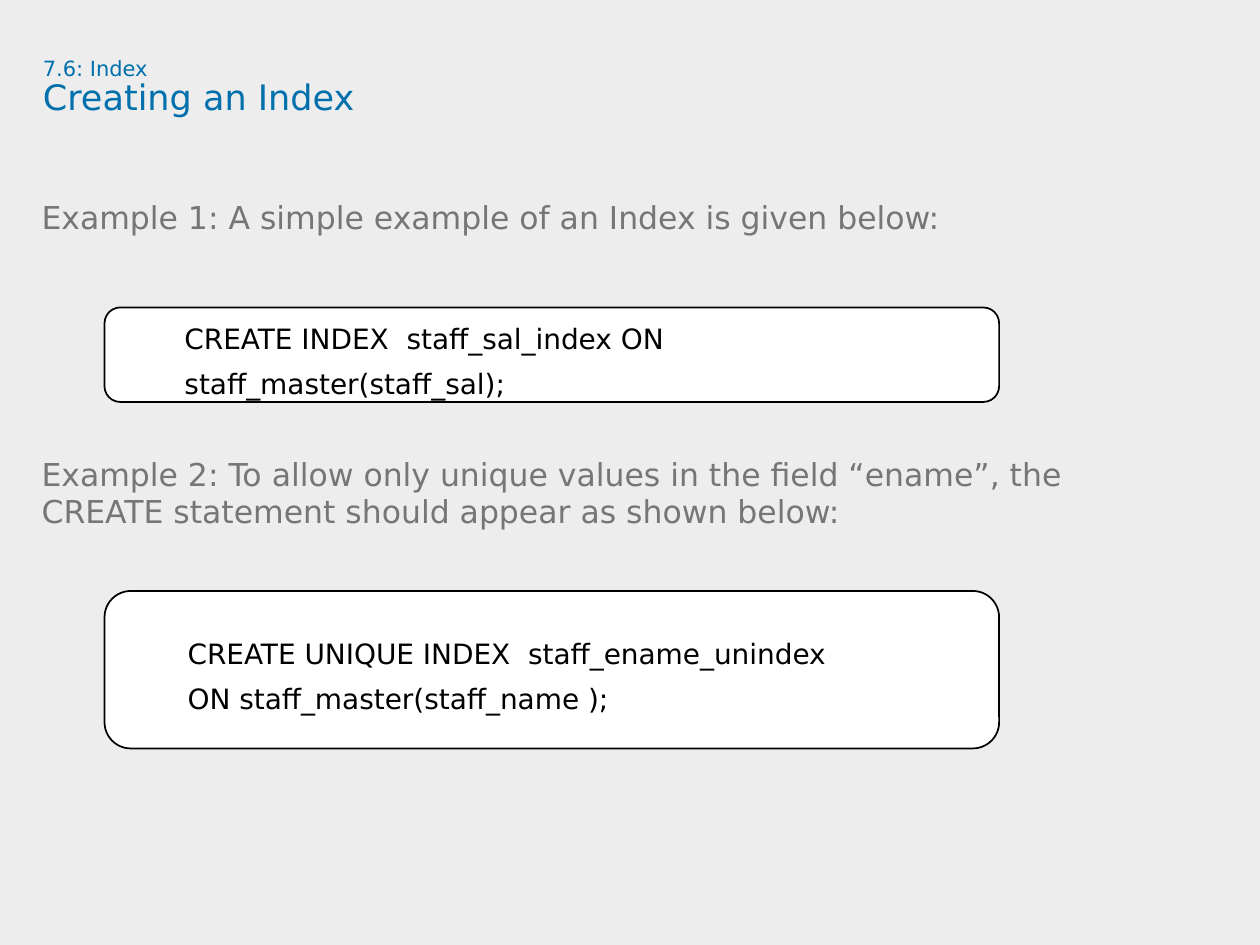
from dataclasses import dataclass

from pptx import Presentation
from pptx.dml.color import RGBColor
from pptx.enum.shapes import MSO_SHAPE as Shape
from pptx.enum.text import MSO_ANCHOR as Anchor, MSO_AUTO_SIZE as AutoSize, PP_ALIGN as Align
from pptx.util import Inches, Pt

FONT = "DejaVu Sans"
BLUE, GREY, BLACK, WHITE, PALE = "0070AD", "767676", "000000", "FFFFFF", "EDEDED"


@dataclass
class CodeBox:
    top: float
    height: float
    lines: list[str]


CODE_BOXES = [
    CodeBox(2.44, 0.75, ["CREATE INDEX  staff_sal_index ON staff_master(staff_sal);"]),
    CodeBox(4.69, 1.25, ["CREATE UNIQUE INDEX  staff_ename_unindex",
                         "ON staff_master(staff_name );"]),
]

# Text and the space before it in points
EXAMPLES = [
    ("Example 1: A simple example of an Index is given below:", 0),
    ("Example 2: To allow only unique values in the field “ename”, the", 130.5),
    ("CREATE statement should appear as shown below:", 4.5),
]


def rgb(color: str) -> RGBColor:
    return RGBColor.from_string(color)


def add_run(p, text: str, *, size: float, color: str) -> None:
    r = p.add_run()
    r.text = text
    r.font.name = FONT
    r.font.size = Pt(size)
    r.font.color.rgb = rgb(color)


def next_paragraph(tf, index: int, *, spacing, before: float = 0):
    p = tf.add_paragraph() if index else tf.paragraphs[0]
    p.alignment = Align.LEFT
    p.line_spacing = spacing
    p.space_before = Pt(before)
    p.space_after = Pt(0)
    return p


def set_frame(tf, *, anchor, inset_x: float = 0, inset_y: float = 0) -> None:
    tf.word_wrap = True
    tf.auto_size = AutoSize.NONE
    tf.vertical_anchor = anchor
    tf.margin_left = tf.margin_right = Inches(inset_x)
    tf.margin_top = tf.margin_bottom = Inches(inset_y)


def add_title(s) -> None:
    sp = s.shapes.title
    sp.left, sp.top, sp.width, sp.height = map(Inches, (0.34, 0.46, 9.09, 0.94))
    set_frame(sp.text_frame, anchor=Anchor.TOP)
    p = next_paragraph(sp.text_frame, 0, spacing=0.9)
    add_run(p, "7.6: Index", size=12, color=BLUE)
    p.add_line_break()
    add_run(p, "Creating an Index", size=20, color=BLUE)


def add_examples(s) -> None:
    sp = s.shapes.add_textbox(*map(Inches, (0.33, 1.64, 9.67, 5.08)))
    set_frame(sp.text_frame, anchor=Anchor.TOP)
    for i, (text, before) in enumerate(EXAMPLES):
        p = next_paragraph(sp.text_frame, i, spacing=Pt(16.5), before=before)
        add_run(p, text, size=18, color=GREY)


def add_code_box(s, box: CodeBox) -> None:
    sp = s.shapes.add_shape(Shape.ROUNDED_RECTANGLE, Inches(0.83), Inches(box.top),
                            Inches(7.1), Inches(box.height))
    sp.shadow.inherit = False
    sp.fill.solid()
    sp.fill.fore_color.rgb = rgb(WHITE)
    sp.line.color.rgb = rgb(BLACK)
    sp.line.width = Pt(1)
    set_frame(sp.text_frame, anchor=Anchor.MIDDLE, inset_x=0.1, inset_y=0.05)
    for i, line in enumerate(box.lines):
        p = next_paragraph(sp.text_frame, i, spacing=1.35)
        p.level = 1
        pPr = p._p.get_or_add_pPr()
        pPr.set("marL", str(Inches(0.5)))
        pPr.set("indent", "0")
        add_run(p, line, size=16, color=BLACK)


def main() -> None:
    prs = Presentation()
    prs.slide_width, prs.slide_height = Inches(10), Inches(7.5)
    s = prs.slides.add_slide(prs.slide_layouts[5])
    s.background.fill.solid()
    s.background.fill.fore_color.rgb = rgb(PALE)

    add_title(s)
    add_examples(s)
    for box in CODE_BOXES:
        add_code_box(s, box)
    prs.save("out.pptx")


if __name__ == "__main__":
    main()
